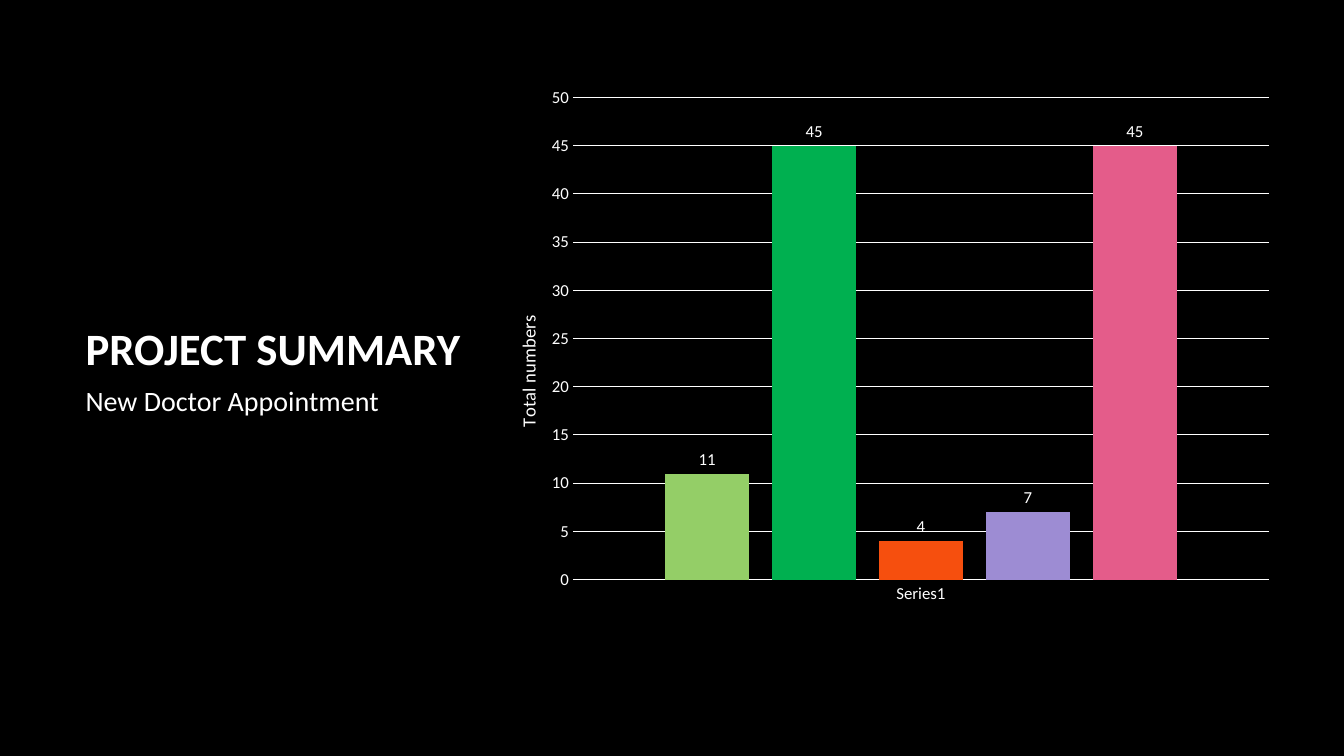
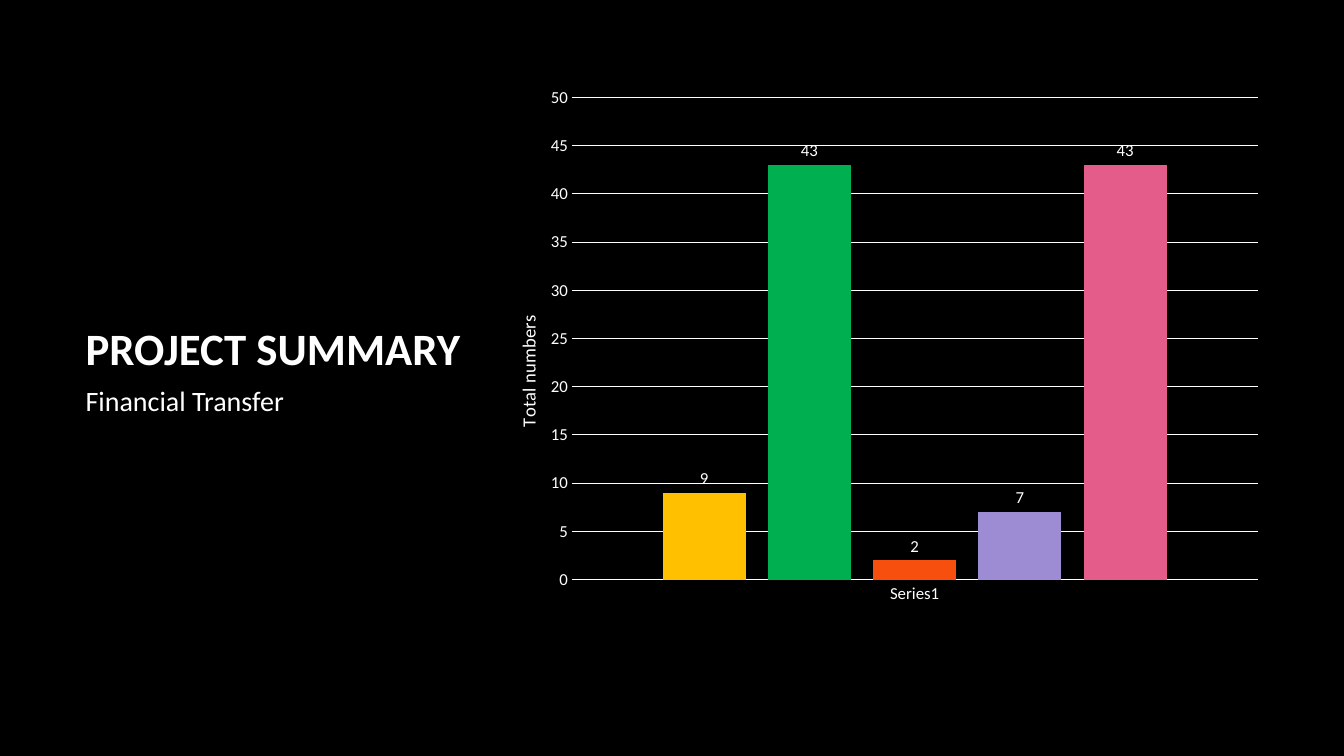
from lxml import etree
from pptx import Presentation
from pptx.chart.data import CategoryChartData
from pptx.dml.color import RGBColor
from pptx.enum.chart import XL_CHART_TYPE, XL_LABEL_POSITION, XL_TICK_MARK
from pptx.enum.text import MSO_ANCHOR
from pptx.oxml.ns import qn
from pptx.util import Inches, Pt

COLUMNS = XL_CHART_TYPE.COLUMN_CLUSTERED
OUTSIDE_END = XL_LABEL_POSITION.OUTSIDE_END
NO_TICK = XL_TICK_MARK.NONE
TOP, BOTTOM = MSO_ANCHOR.TOP, MSO_ANCHOR.BOTTOM

FONT = "Calibri"
BLACK, WHITE = "000000", "FFFFFF"
LIME, AMBER = "94CE67", "FFC000"
GREEN, ORANGE, PURPLE, PINK = "00B050", "F64F0E", "9D8CD3", "E45C8A"

SUMMARIES = [
    ("New Doctor Appointment", 7.71, LIME, [11, 45, 4, 7, 45]),
    ("Financial Transfer", 7.59, AMBER, [9, 43, 2, 7, 43]),
]


def rgb(value):
    """Return the colour for a hex string."""
    return RGBColor.from_string(value)


def style_font(font, size, bold=False):
    """Apply the deck's typeface and text colour."""
    font.name = FONT
    font.size = Pt(size)
    font.bold = bold
    font.color.rgb = rgb(WHITE)


def style_line(line):
    """Give a chart line the thin white stroke."""
    line.color.rgb = rgb(WHITE)
    line.width = Pt(0.75)


def add_text(s, text, box, size, bold=False, anchor=TOP):
    """Place one line of text in a box given in inches."""
    tf = s.shapes.add_textbox(*map(Inches, box)).text_frame
    tf.word_wrap = True
    tf.vertical_anchor = anchor
    tf.text = text
    style_font(tf.paragraphs[0].runs[0].font, size, bold)


def set_layout(parent, index, settings):
    """Put a manual chart layout into a parent element."""
    for old in parent.findall(qn("c:layout")):
        parent.remove(old)
    layout = etree.Element(qn("c:layout"))
    manual = etree.SubElement(layout, qn("c:manualLayout"))
    for tag, value in settings.items():
        etree.SubElement(manual, qn(f"c:{tag}")).set("val", str(value))
    parent.insert(index, layout)


def style_axes(chart):
    """Format both axes, the gridlines and the rotated axis title."""
    for axis in (chart.category_axis, chart.value_axis):
        axis.major_tick_mark = axis.minor_tick_mark = NO_TICK
        style_font(axis.tick_labels.font, 12)
    style_line(chart.category_axis.format.line)

    axis = chart.value_axis
    axis.minimum_scale, axis.maximum_scale, axis.major_unit = 0, 50, 5
    axis.format.line.fill.background()
    style_line(axis.major_gridlines.format.line)

    title = axis.axis_title
    p = title.text_frame.paragraphs[0]
    p.text = "Total numbers"
    style_font(p.runs[0].font, 13.3)
    body = title.element.find(".//" + qn("a:bodyPr"))
    body.set("rot", "-5400000")
    body.set("vert", "horz")
    set_layout(title.element, 1,
               {"xMode": "edge", "yMode": "edge", "x": 0, "y": 0.43})


def add_column_chart(s, box, colors, values):
    """Add the clustered columns, one coloured series per measure."""
    data = CategoryChartData()
    data.categories = ["Series1"]
    for value in values:
        data.add_series("", [value])
    chart = s.shapes.add_chart(COLUMNS, *map(Inches, box), data).chart
    chart.has_title = False
    chart.has_legend = False
    style_font(chart.font, 10)
    style_axes(chart)

    plot = chart.plots[0]
    plot.vary_by_categories = False
    plot.gap_width, plot.overlap = 219, -27
    for series, color in zip(plot.series, colors):
        series.format.fill.solid()
        series.format.fill.fore_color.rgb = rgb(color)
        labels = series.data_labels
        labels.show_value = True
        labels.position = OUTSIDE_END
        style_font(labels.font, 12)
    set_layout(chart.element.find(".//" + qn("c:plotArea")), 0,
               {"layoutTarget": "inner", "xMode": "edge", "yMode": "edge",
                "x": 0.078, "y": 0.054, "w": 0.896, "h": 0.844})


def add_summary_slide(prs, subtitle, chart_width, first_color, values):
    """Build one summary slide: heading on the left, chart on the right."""
    s = prs.slides.add_slide(prs.slide_layouts[6])
    add_text(s, "PROJECT SUMMARY", (0.75, 2.26, 4.03, 1.5), 32, True, BOTTOM)
    add_column_chart(s, (5.08, 0.66, chart_width, 5.67),
                     [first_color, GREEN, ORANGE, PURPLE, PINK], values)
    add_text(s, subtitle, (0.75, 3.76, 4.03, 2), 20)


def main():
    """Build and save the deck."""
    prs = Presentation()
    prs.slide_width, prs.slide_height = Inches(13.33), Inches(7.5)
    fill = prs.slide_master.background.fill
    fill.solid()
    fill.fore_color.rgb = rgb(BLACK)
    for summary in SUMMARIES:
        add_summary_slide(prs, *summary)
    prs.save("out.pptx")


if __name__ == "__main__":
    main()
